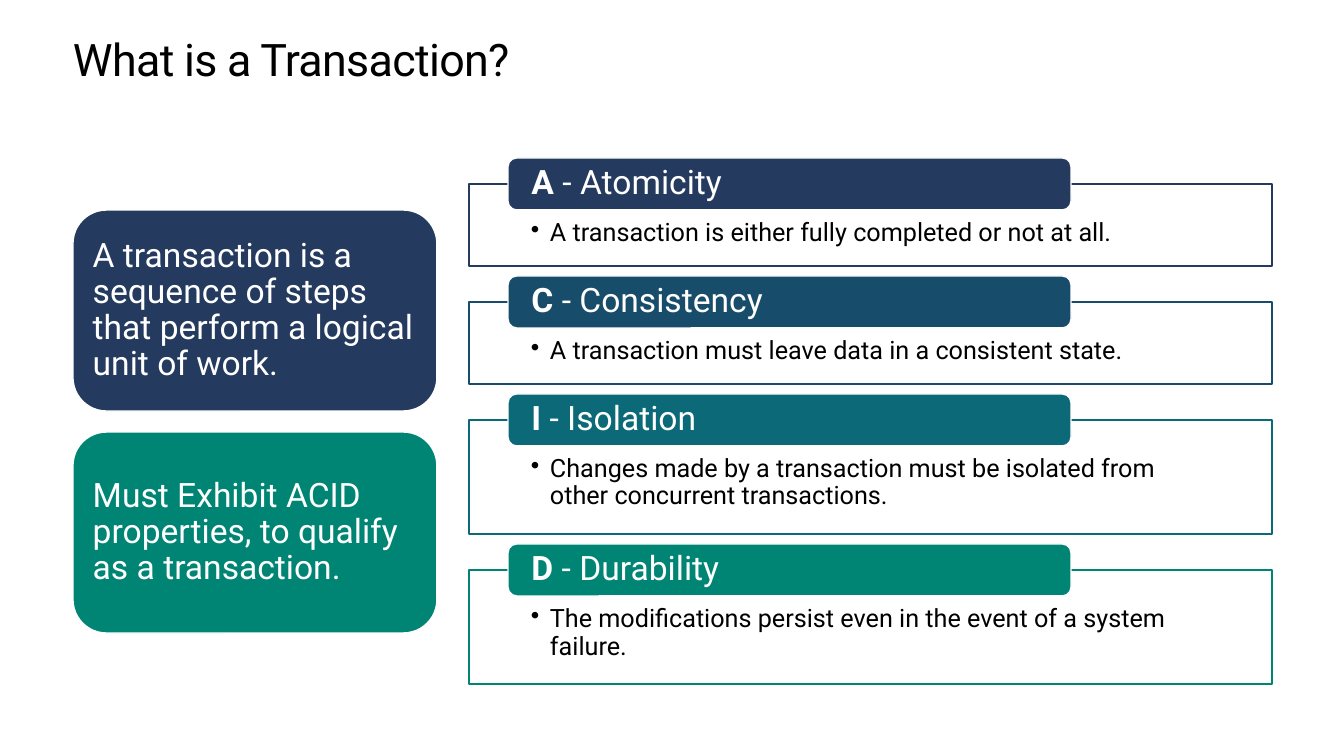
from dataclasses import dataclass

from lxml import etree
from pptx import Presentation
from pptx import util as u
from pptx.dml.color import RGBColor
from pptx.enum import shapes, text
from pptx.oxml.ns import qn

TITLE = "What is a Transaction?"
CARDS = [
    ("A transaction is a sequence of steps that perform a logical unit of work.", "243A5E"),
    ("Must Exhibit ACID properties, to qualify as a transaction.", "008575"),
]
PROPERTIES = [
    ("Atomicity", "A transaction is either fully completed or not at all.", "243A5E", 82),
    ("Consistency", "A transaction must leave data in a consistent state.", "184C6B", 82),
    ("Isolation", "Changes made by a transaction must be isolated from other concurrent transactions.",
     "0C6A78", 114),
    ("Durability", "The modifications persist even in the event of a system failure.", "008575", 114),
]


@dataclass(frozen=True)
class Theme:
    font: str = "Roboto"
    ink: str = "000000"
    paper: str = "FFFFFF"
    title: int = 32
    heading: int = 24
    body: int = 18


THEME = Theme()
SLIDE = (1344, 756)
TITLE_BOX = (73, 35, 1200, 50)
CARD_LEFT, CARD_TOP, CARD_WIDTH, CARD_HEIGHT, CARD_STEP = 73, 210, 364, 201, 222
FRAME_LEFT, FRAME_TOP, FRAME_WIDTH, FRAME_GAP = 469, 184, 803, 36
TAB_LEFT, TAB_WIDTH, TAB_HEIGHT = 508, 563, 52
BULLET_INDENT = 19


def px(value):
    return u.Emu(round(value * 914400 / 100.8))


def color(value):
    return RGBColor.from_string(value)


def set_insets(frame, left, top, right, bottom):
    frame.margin_left, frame.margin_top = px(left), px(top)
    frame.margin_right, frame.margin_bottom = px(right), px(bottom)
    frame.word_wrap = True
    frame.auto_size = text.MSO_AUTO_SIZE.NONE


def set_font(para, size, ink):
    para.alignment = text.PP_ALIGN.LEFT
    para.font.name = THEME.font
    para.font.size = u.Pt(size)
    para.font.color.rgb = color(ink)


def add_box(page, kind, place, fill, line, insets, anchor):
    box = page.shapes.add_shape(kind, *map(px, place))
    box.shadow.inherit = False
    box.fill.solid()
    box.fill.fore_color.rgb = color(fill)
    box.line.color.rgb = color(line)
    box.line.width = u.Pt(1)
    set_insets(box.text_frame, *insets)
    box.text_frame.vertical_anchor = anchor
    para = box.text_frame.paragraphs[0]
    para.line_spacing = 0.9
    return para


def add_bullet(para):
    props = para._p.get_or_add_pPr()
    props.set("marL", str(px(BULLET_INDENT)))
    props.set("indent", str(-px(BULLET_INDENT)))
    etree.SubElement(props, qn("a:buChar"), char="•")


def add_title(page):
    title = page.shapes.title
    title.left, title.top, title.width, title.height = map(px, TITLE_BOX)
    set_insets(title.text_frame, 0, 0, 0, 0)
    title.text_frame.vertical_anchor = text.MSO_ANCHOR.TOP
    para = title.text_frame.paragraphs[0]
    para.line_spacing = u.Pt(36.2)
    span = para.add_run()
    span.text = TITLE
    span.font._element.set("spc", "-50")
    set_font(para, THEME.title, THEME.ink)


def add_card(page, index, sentence, fill):
    place = (CARD_LEFT, CARD_TOP + index * CARD_STEP, CARD_WIDTH, CARD_HEIGHT)
    para = add_box(page, shapes.MSO_SHAPE.ROUNDED_RECTANGLE, place, fill, THEME.paper,
                   (10, 10, 10, 10), text.MSO_ANCHOR.MIDDLE)
    para.add_run().text = sentence
    set_font(para, THEME.heading, THEME.paper)


def add_property(page, top, name, meaning, accent, height):
    para = add_box(page, shapes.MSO_SHAPE.RECTANGLE, (FRAME_LEFT, top, FRAME_WIDTH, height),
                   THEME.paper, accent, (62, 36, 62, 14), text.MSO_ANCHOR.TOP)
    add_bullet(para)
    para.add_run().text = meaning
    set_font(para, THEME.body, THEME.ink)

    place = (TAB_LEFT, top - TAB_HEIGHT / 2, TAB_WIDTH, TAB_HEIGHT)
    para = add_box(page, shapes.MSO_SHAPE.ROUNDED_RECTANGLE, place, accent, THEME.paper,
                   (21, 0, 21, 0), text.MSO_ANCHOR.MIDDLE)
    initial = para.add_run()
    initial.text = name[0]
    initial.font.bold = True
    para.add_run().text = f" - {name}"
    set_font(para, THEME.heading, THEME.paper)


def main():
    deck = Presentation()
    deck.slide_width, deck.slide_height = map(px, SLIDE)
    page = deck.slides.add_slide(deck.slide_layouts[5])
    add_title(page)
    for index, (sentence, fill) in enumerate(CARDS):
        add_card(page, index, sentence, fill)
    top = FRAME_TOP
    for name, meaning, accent, height in PROPERTIES:
        add_property(page, top, name, meaning, accent, height)
        top += height + FRAME_GAP
    deck.save("out.pptx")


if __name__ == "__main__":
    main()
